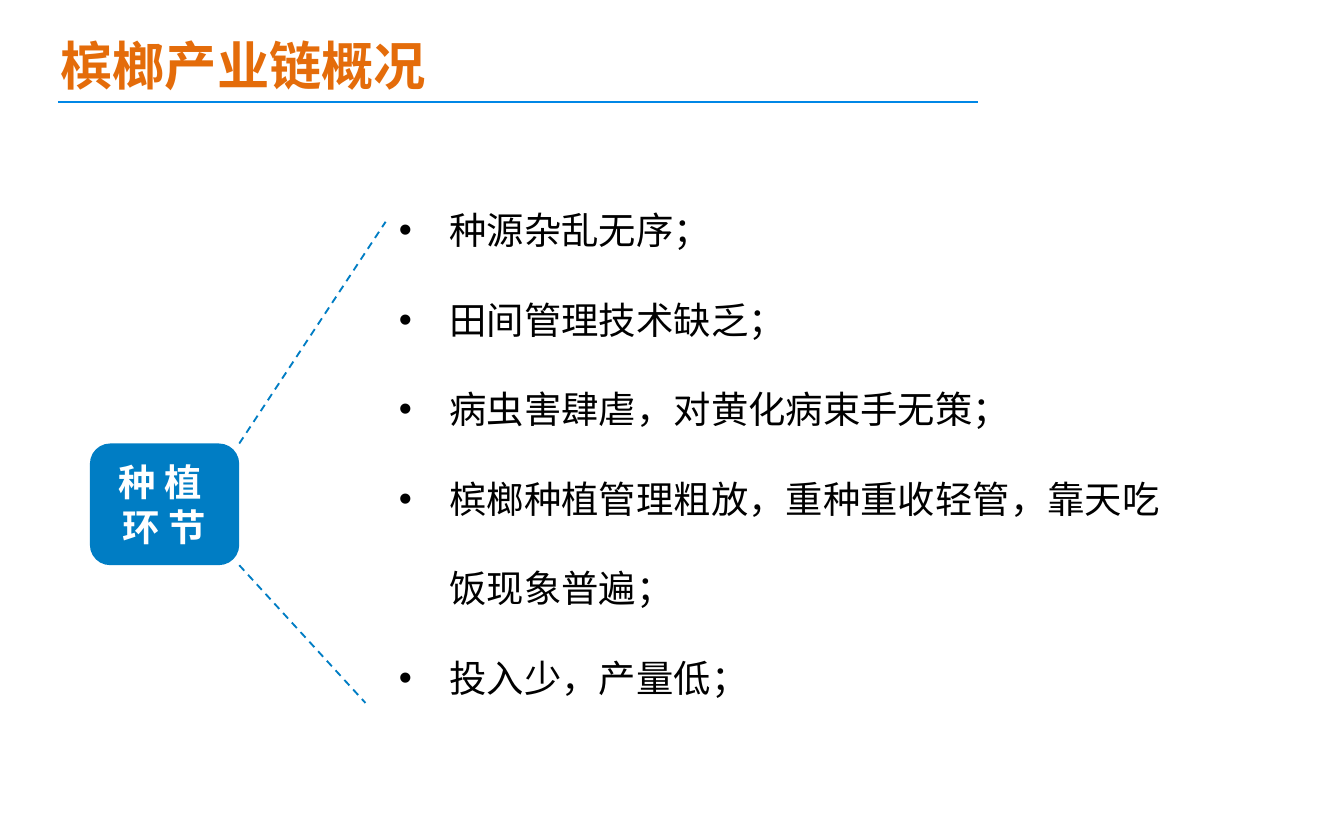
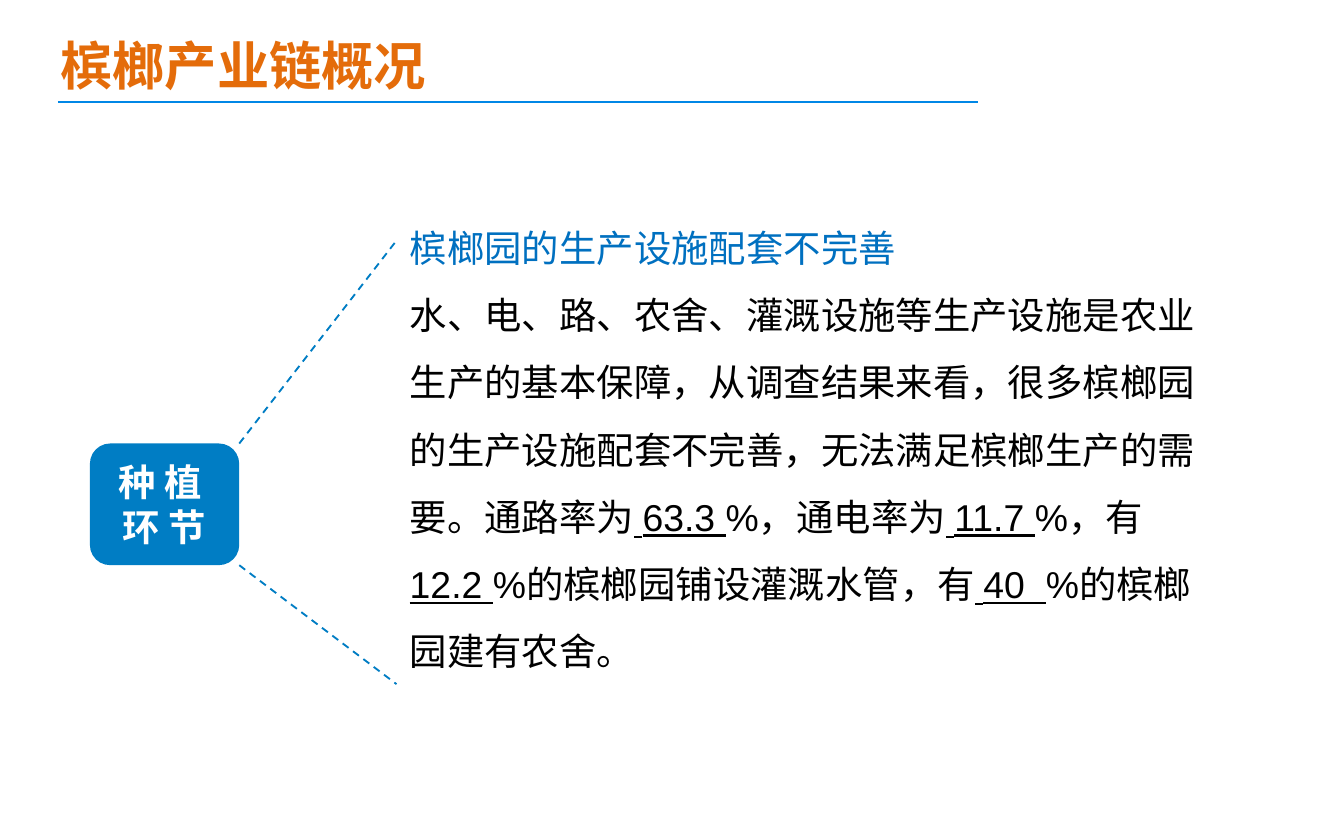
from lxml.etree import SubElement
from pptx import Presentation
from pptx.dml.color import RGBColor
from pptx.enum.dml import MSO_LINE
from pptx.enum.lang import MSO_LANGUAGE_ID
from pptx.enum.shapes import MSO_CONNECTOR, MSO_SHAPE
from pptx.enum.text import MSO_ANCHOR, MSO_AUTO_SIZE, PP_ALIGN
from pptx.oxml.ns import qn
from pptx.util import Pt

ORANGE = RGBColor(0xE4, 0x6C, 0x0A)
BLUE = RGBColor(0x00, 0x7D, 0xC4)
RULE_BLUE = RGBColor(0x00, 0x87, 0xE6)
HEADING_BLUE = RGBColor(0x00, 0x70, 0xC0)
BLACK = RGBColor(0, 0, 0)
WHITE = RGBColor(255, 255, 255)

CHINESE_FONT = "Noto Sans CJK SC"
TITLE_FORMAT = {"name": "Calibri", "size": Pt(28), "bold": True}
LABEL_FORMAT = {"name": CHINESE_FONT, "size": Pt(20), "bold": True}
BODY_FORMAT = {"name": "Arial", "size": Pt(20)}

LABEL_LEFT, LABEL_TOP, LABEL_WIDTH, LABEL_HEIGHT = 48.2, 237.6, 80, 65.2

PROBLEMS = [
    "种源杂乱无序；",
    "田间管理技术缺乏；",
    "病虫害肆虐，对黄化病束手无策；",
    "槟榔种植管理粗放，重种重收轻管，靠天吃饭现象普遍；",
    "投入少，产量低；",
]
FACILITY_HEADING = "槟榔园的生产设施配套不完善"
FACILITY_RUNS = [
    "水、电、路、农舍、灌溉设施等生产设施是农业生产的基本保障，从调查结果来看，"
    "很多槟榔园的生产设施配套不完善，无法满足槟榔生产的需要。通路率为",
    " 63.3 ", "%，通电率为", " 11.7 ", "%，有", " 12.2 ",
    "%的槟榔园铺设灌溉水管，有", " 40  ", "%的槟榔园建有农舍。",
]


class Deck:
    """Hold the shared style and the current slide."""

    def __init__(self):
        self.presentation = Presentation()
        self.presentation.slide_width = Pt(720)
        self.presentation.slide_height = Pt(450)
        self.slide = None

    def add_slide(self, title):
        """Start a slide with its title and rule."""
        layout = self.presentation.slide_layouts[5]
        self.slide = self.presentation.slides.add_slide(layout)
        shape = self.slide.shapes.title
        shape.left, shape.top, shape.width, shape.height = Pt(25.2), Pt(13.7), Pt(499), Pt(41)
        frame = self.frame(shape, MSO_ANCHOR.TOP, MSO_AUTO_SIZE.SHAPE_TO_FIT_TEXT)
        self.paragraph(frame, [title], TITLE_FORMAT, ORANGE, 34)
        self.line((31, 54.7), (524.2, 54.7), RULE_BLUE)

    def frame(self, shape, anchor, auto_size):
        """Prepare a wrapping text frame."""
        frame = shape.text_frame
        settings = {"word_wrap": True, "vertical_anchor": anchor, "auto_size": auto_size}
        for key, value in settings.items():
            setattr(frame, key, value)
        return frame

    def paragraph(self, frame, texts, font_format, color, spacing,
                  alignment=PP_ALIGN.LEFT, bullet=False):
        """Write a paragraph, underlining every second run."""
        paragraph = frame.paragraphs[0]
        if paragraph.runs:
            paragraph = frame.add_paragraph()
        if bullet:
            properties = paragraph._p.get_or_add_pPr()
            properties.set("marL", str(Pt(27)))
            properties.set("indent", str(-Pt(27)))
            SubElement(properties, qn("a:buFont"), typeface="Arial")
            SubElement(properties, qn("a:buChar"), char="•")
        paragraph.alignment = alignment
        paragraph.line_spacing = Pt(spacing)
        for index, text in enumerate(texts):
            run = paragraph.add_run()
            run.text = text
            for key, value in font_format.items():
                setattr(run.font, key, value)
            run.font.color.rgb = color
            run.font.language_id = MSO_LANGUAGE_ID.SIMPLIFIED_CHINESE
            if index % 2:
                run.font.underline = True
            SubElement(run._r.get_or_add_rPr(), qn("a:ea"), typeface=CHINESE_FONT)

    def text_box(self, left, top, width, height):
        """Add a text box and return its frame."""
        shape = self.slide.shapes.add_textbox(Pt(left), Pt(top), Pt(width), Pt(height))
        return self.frame(shape, MSO_ANCHOR.TOP, MSO_AUTO_SIZE.SHAPE_TO_FIT_TEXT)

    def line(self, start, end, color, dash=None):
        """Draw a straight line one point wide."""
        connector = self.slide.shapes.add_connector(
            MSO_CONNECTOR.STRAIGHT, *map(Pt, start + end))
        connector.line.color.rgb = color
        connector.line.width = Pt(1)
        if dash:
            connector.line.dash_style = dash
        SubElement(connector._element.spPr, qn("a:effectLst"))

    def stage(self, lines, upper_end, lower_end):
        """Draw the stage label and its two dashed guides."""
        right = LABEL_LEFT + LABEL_WIDTH
        bottom = LABEL_TOP + LABEL_HEIGHT
        self.line((right, LABEL_TOP), upper_end, BLUE, MSO_LINE.DASH)
        self.line((right, bottom), lower_end, BLUE, MSO_LINE.DASH)
        shape = self.slide.shapes.add_shape(
            MSO_SHAPE.ROUNDED_RECTANGLE,
            *map(Pt, (LABEL_LEFT, LABEL_TOP, LABEL_WIDTH, LABEL_HEIGHT)))
        shape.shadow.inherit = False
        shape.fill.solid()
        shape.fill.fore_color.rgb = BLUE
        shape.line.fill.background()
        frame = self.frame(shape, MSO_ANCHOR.MIDDLE, MSO_AUTO_SIZE.NONE)
        for text in lines:
            self.paragraph(frame, [text], LABEL_FORMAT, WHITE, 24, PP_ALIGN.CENTER)


def main():
    """Build both slides and save them."""
    deck = Deck()
    title = "槟榔产业链概况"
    stage_lines = ["种 植 ", "环 节"]

    deck.add_slide(title)
    deck.stage(stage_lines, (206.6, 118.8), (195.8, 376.6))
    frame = deck.text_box(206.6, 83.5, 433.4, 298)
    for problem in PROBLEMS:
        deck.paragraph(frame, [problem], BODY_FORMAT, BLACK, 48, bullet=True)

    deck.add_slide(title)
    deck.stage(stage_lines, (212.4, 128.9), (212.4, 366.5))
    frame = deck.text_box(212.4, 105.1, 442, 262)
    deck.paragraph(frame, [FACILITY_HEADING], BODY_FORMAT, HEADING_BLUE, 36)
    deck.paragraph(frame, FACILITY_RUNS, BODY_FORMAT, BLACK, 36)

    deck.presentation.save("out.pptx")


if __name__ == "__main__":
    main()
